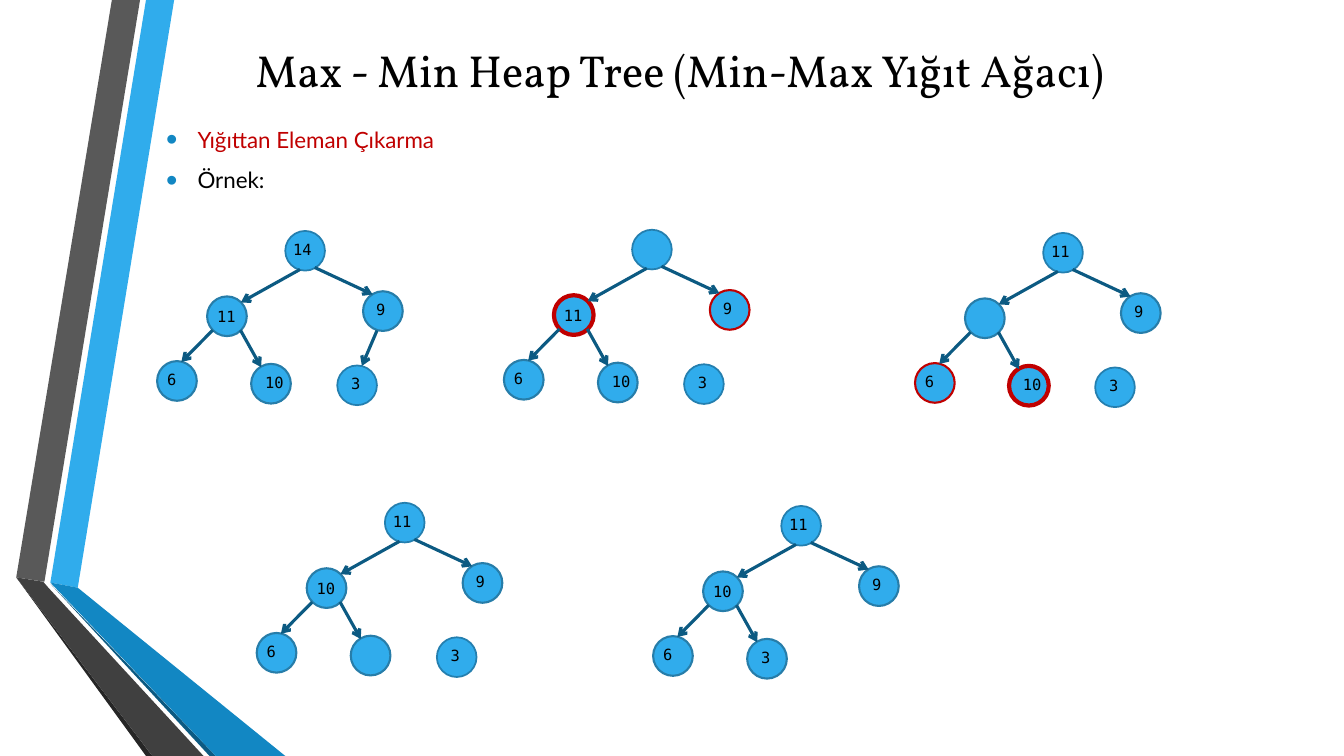
import pptx
import pptx.util
import pptx.dml.color
import pptx.enum.shapes
import pptx.enum.text
import pptx.oxml
import pptx.oxml.ns
from dataclasses import dataclass

Cm, Pt = pptx.util.Cm, pptx.util.Pt
RGB = pptx.dml.color.RGBColor.from_string
ALIGN = pptx.enum.text.PP_ALIGN
ANCHOR = pptx.enum.text.MSO_ANCHOR


@dataclass(frozen=True)
class Theme:
    black: str = "000000"
    red: str = "C00000"
    node: str = "30ACEC"
    node_line: str = "277DA9"
    end_line: str = "247FAF"
    edge: str = "0C5A82"
    bullet: str = "1287C3"
    title_font: str = "Vollkorn"
    body_font: str = "Lato"
    node_font: str = "DejaVu Sans Mono"
    title_size: int = 32
    body_size: int = 16
    node_size: int = 11


T = Theme()

TITLE = "Max - Min Heap Tree (Min-Max Yığıt Ağacı)"
BULLETS = [("Yığıttan Eleman Çıkarma", T.red), ("Örnek:", T.black)]

BANDS = [
    ("30ACEC", [(1.27, 14.68), (1.96, 14.81), (4.39, 0), (3.68, 0)]),
    ("595959", [(3.53, 0), (2.82, 0), (0.41, 14.55), (1.12, 14.66)]),
    ("262626", [(0.41, 14.55), (3.68, 19.05), (3.84, 19.05)]),
    ("0C5A82", [(1.27, 14.71), (5.28, 19.05), (5.44, 19.05)]),
    ("1287C3", [(1.27, 14.68), (5.44, 19.05), (7.19, 19.05), (1.96, 14.81)]),
    ("404040", [(5.13, 19.05), (1.22, 14.81), (1.09, 14.66), (0.41, 14.55), (3.84, 19.05)]),
]

DIAMETER = 1.0
LABEL_H = 0.74
STRONG, WEAK = (T.red, 3), (T.red, 1.5)
PLAIN, END = (T.node_line, 1.5), (T.end_line, 1.25)

# slot: node offset from root, label offset from node, label width, outline
SLOTS = {
    "left_left": ((-3.23, 3.28), (0, 0.1), 1.17, PLAIN),
    "left": ((-1.97, 1.65), (0, 0.15), 1.17, PLAIN),
    "right": ((1.96, 1.52), (0.08, 0.1), 1.02, PLAIN),
    "root": ((0, 0), (-0.05, 0.1), 1.17, END),
    "left_right": ((-0.86, 3.35), (0.1, 0.1), 1.02, PLAIN),
    "right_left": ((1.31, 3.39), (0.1, 0.1), 1.02, END),
}
EDGES = {
    "left": ((0.37, 0.97), (-1.12, 1.8)),
    "right": ((0.74, 0.92), (2.2, 1.6)),
    "left_left": ((-1.83, 2.5), (-2.62, 3.3)),
    "left_right": ((-1.13, 2.5), (-0.61, 3.43)),
    "right_left": ((2.31, 2.51), (1.93, 3.4)),
}
ORDER = ["root", "left", "right", "left_left", "left_right", "right_left"]
TREES = [
    {"at": (7.19, 5.82), "values": ["14", "11", "9", "6", "10", "3"], "marks": {}, "loose": []},
    {"at": (15.93, 5.79), "values": ["", "11", "9", "6", "10", "3"],
     "marks": {"left": STRONG, "right": WEAK}, "loose": ["right_left"]},
    {"at": (26.29, 5.87), "values": ["11", "", "9", "6", "10", "3"],
     "marks": {"left_right": STRONG, "left_left": WEAK}, "loose": ["right_left"]},
    {"at": (9.7, 12.67), "values": ["11", "10", "9", "6", "", "3"],
     "marks": {}, "loose": ["right_left"]},
    {"at": (19.69, 12.75), "values": ["11", "10", "9", "6", "3"], "marks": {}, "loose": []},
]


def add_xml(parent, tag, **attrs):
    child = pptx.oxml.parse_xml(f"<a:{tag} {pptx.oxml.ns.nsdecls('a')}/>")
    for name, value in attrs.items():
        child.set(name, value)
    parent.append(child)
    return child


def add_text(shapes, box, lines, font, size, align=ALIGN.LEFT, anchor=ANCHOR.TOP,
             spacing=None, bullet=None, grow=False):
    tf = shapes.add_textbox(*map(Cm, box)).text_frame
    tf.word_wrap = True
    tf.vertical_anchor = anchor
    if grow:
        tf.auto_size = pptx.enum.text.MSO_AUTO_SIZE.SHAPE_TO_FIT_TEXT
    for i, (text, color) in enumerate(lines):
        p = tf.add_paragraph() if i else tf.paragraphs[0]
        p.alignment = align
        if spacing:
            p.line_spacing = spacing
        if bullet:
            pPr = p._p.get_or_add_pPr()
            pPr.set("marL", str(Cm(0.79)))
            pPr.set("indent", str(-Cm(0.79)))
            add_xml(add_xml(pPr, "buClr"), "srgbClr", val=bullet)
            add_xml(pPr, "buSzPct", val="145000")
            add_xml(pPr, "buFont", typeface="Arial")
            add_xml(pPr, "buChar", char="•")
        r = p.add_run()
        r.text = text
        r.font.name, r.font.size = font, Pt(size)
        r.font.color.rgb = RGB(color)


def add_band(shapes, color, points):
    start, *rest = [(Cm(x), Cm(y)) for x, y in points]
    builder = shapes.build_freeform(*start)
    builder.add_line_segments(rest, close=True)
    sp = builder.convert_to_shape()
    sp.shadow.inherit = False
    sp.fill.solid()
    sp.fill.fore_color.rgb = RGB(color)
    sp.line.fill.background()


def add_node(shapes, x, y, outline):
    sp = shapes.add_shape(pptx.enum.shapes.MSO_SHAPE.OVAL,
                          Cm(x), Cm(y), Cm(DIAMETER), Cm(DIAMETER))
    sp.shadow.inherit = False
    sp.fill.solid()
    sp.fill.fore_color.rgb = RGB(T.node)
    sp.line.color.rgb, sp.line.width = RGB(outline[0]), Pt(outline[1])


def add_edge(shapes, x1, y1, x2, y2):
    line = shapes.add_connector(pptx.enum.shapes.MSO_CONNECTOR.STRAIGHT,
                                Cm(x1), Cm(y1), Cm(x2), Cm(y2))
    line.line.color.rgb, line.line.width = RGB(T.edge), Pt(2.25)
    add_xml(line.line._get_or_add_ln(), "tailEnd", type="arrow")
    add_xml(line._element.spPr, "effectLst")


def add_tree(shapes, at, values, marks, loose):
    x0, y0 = at
    labels = dict(zip(ORDER, values))
    for slot, ((dx, dy), (tx, ty), width, outline) in SLOTS.items():
        if slot not in labels:
            continue
        x, y = x0 + dx, y0 + dy
        add_node(shapes, x, y, marks.get(slot, outline))
        if labels[slot]:
            add_text(shapes, (x + tx, y + ty, width, LABEL_H), [(labels[slot], T.black)],
                     T.node_font, T.node_size, grow=True)
    for slot, ((x1, y1), (x2, y2)) in EDGES.items():
        if slot in labels and slot not in loose:
            add_edge(shapes, x0 + x1, y0 + y1, x0 + x2, y0 + y2)


prs = pptx.Presentation()
prs.slide_width, prs.slide_height = Cm(33.87), Cm(19.05)
s = prs.slides.add_slide(prs.slide_layouts[6])

bands = s.shapes.add_group_shape().shapes
for color, points in BANDS:
    add_band(bands, color, points)
add_text(s.shapes, (3.94, 0.43, 26.39, 2.64), [(TITLE, T.black)], T.title_font,
         T.title_size, align=ALIGN.CENTER, anchor=ANCHOR.MIDDLE)
add_text(s.shapes, (3.94, 2.72, 26.39, 3.28), BULLETS, T.body_font, T.body_size,
         align=ALIGN.JUSTIFY, spacing=1.5, bullet=T.bullet)
for tree in TREES:
    add_tree(s.shapes.add_group_shape().shapes, **tree)

prs.save("out.pptx")
